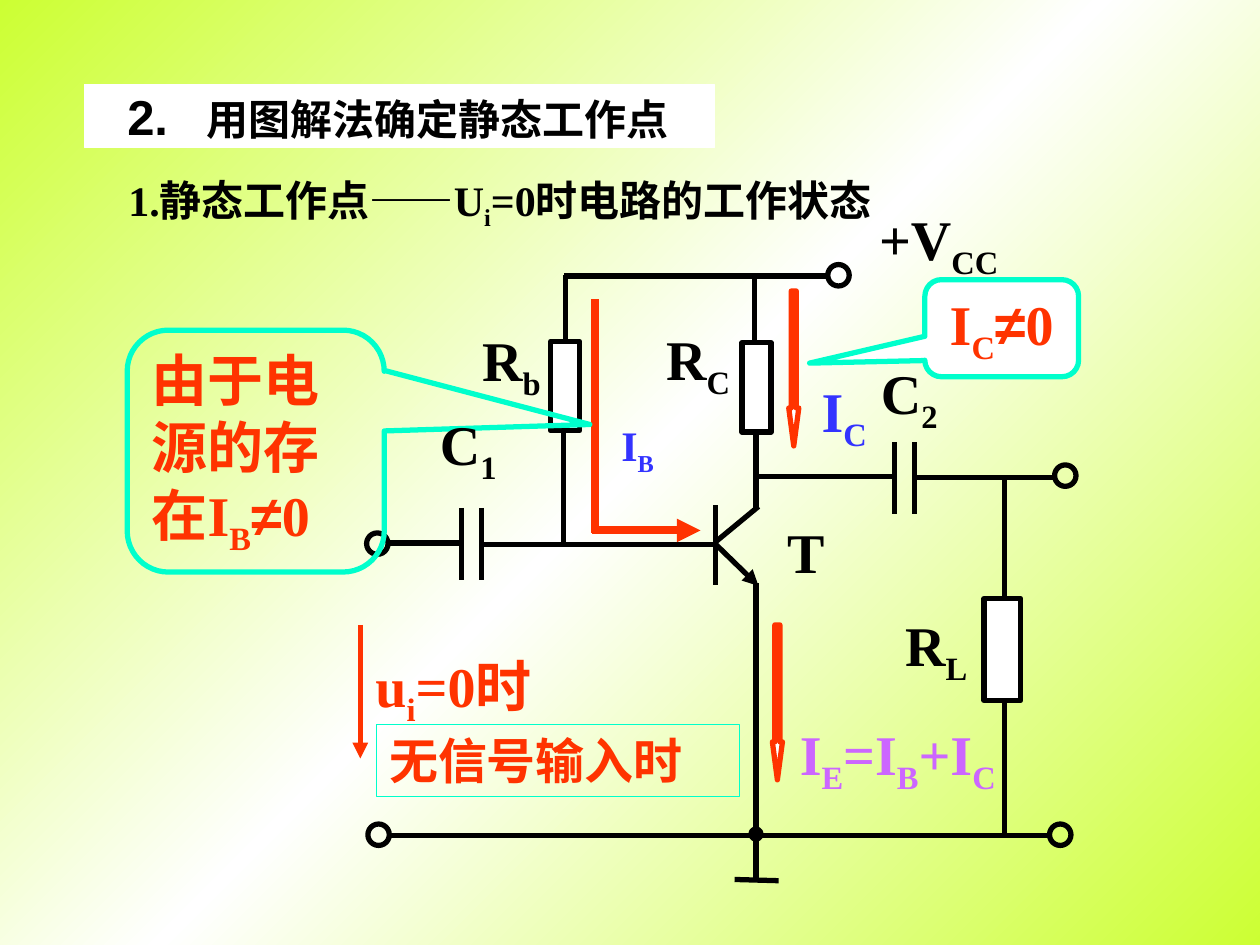
from copy import deepcopy

from pptx import Presentation
from pptx.dml.color import RGBColor
from pptx.enum.shapes import MSO_CONNECTOR as Connector, MSO_SHAPE as Shape
from pptx.enum.text import MSO_ANCHOR as Anchor, MSO_AUTO_SIZE as AutoSize, PP_ALIGN as Align
from pptx.oxml.ns import qn
from pptx.oxml.xmlchemy import OxmlElement
from pptx.util import Inches, Pt

BLACK, WHITE, RED, BLUE = "000000", "FFFFFF", "FF3300", "3333FF"
PURPLE, CYAN, LIME = "CC66FF", "00FFCC", "CCFF33"
hex_color = RGBColor.from_string

deck = Presentation()
deck.slide_width, deck.slide_height = Inches(10), Inches(7.5)
page = deck.slides.add_slide(deck.slide_layouts[5])
CELL = deck.slide_width / 100  # square grid: 100 columns by 75 rows


def write(box, text, size=32, color=BLACK, font="Times New Roman", align=Align.CENTER, wrap=False):
    """Append text to a box; letters in braces become subscripts."""
    frame = box.text_frame
    frame.auto_size = AutoSize.NONE
    frame.word_wrap = wrap
    frame.vertical_anchor = Anchor.MIDDLE
    para = frame.paragraphs[0]
    para.alignment = align
    pieces = text.replace("≠", "{≠}").replace("}", "{").split("{")
    for index, piece in enumerate(pieces):
        if not piece:
            continue
        span = para.add_run()
        span.text = piece
        span.font.size, span.font.bold = Pt(size), True
        span.font.name = "Arial" if piece == "≠" else font
        span.font.color.rgb = hex_color(color)
        if index % 2 and piece != "≠":
            span.font._element.set("baseline", "-25000")


def draw(kind, place, fill=None, line=BLACK, width=3, adjust=()):
    """Add a preset shape at (column, row, columns, rows)."""
    shape = page.shapes.add_shape(kind, *[int(value * CELL) for value in place])
    shape.shadow.inherit = False
    if fill:
        shape.fill.solid()
        shape.fill.fore_color.rgb = hex_color(fill)
    else:
        shape.fill.background()
    shape.line.color.rgb = hex_color(line)
    shape.line.width = Pt(width)
    for index, value in enumerate(adjust):
        shape.adjustments[index] = value
    return shape


# Background: diagonal lime-white-lime gradient
backdrop = page.background.fill
backdrop.gradient()
backdrop.gradient_angle = 315
stop_list = page.element.find(".//" + qn("a:gsLst"))
stop_list.append(deepcopy(stop_list[0]))
for stop, (position, color) in zip(backdrop.gradient_stops, [(0, LIME), (0.5, WHITE), (1, LIME)]):
    stop.color.rgb = hex_color(color)
    stop.position = position

# Title on a white band, with a tab after the number
title = page.shapes.title
title.left, title.top, title.width, title.height = [int(v * CELL) for v in (6.7, 6.7, 50, 5)]
title.fill.solid()
title.fill.fore_color.rgb = hex_color(WHITE)
title.line.color.rgb = hex_color(WHITE)
title.line.width = Pt(0.75)
title.text_frame.margin_left = int(3.4 * CELL)
write(title, "2.\t", size=28, font="Arial", align=Align.LEFT)
write(title, "用图解法确定静态工作点", size=24, font="Arial", align=Align.LEFT, wrap=True)
tab_list = OxmlElement("a:tabLst")
tab = OxmlElement("a:tab")
tab.set("pos", str(int(6.3 * CELL)))
tab.set("algn", "l")
tab_list.append(tab)
title.text_frame.paragraphs[0]._p.get_or_add_pPr().append(tab_list)

# Wires, capacitor plates and transistor: from, to, color, width, arrowhead
wires = [
    (44.8, 21.9, 65.6, 21.9),  # supply rail
    (44.9, 21.8, 44.9, 27.5), (44.7, 34.1, 44.7, 43.1),  # base resistor leads
    (59.9, 21.8, 59.9, 27.1), (60, 34, 60, 40.4),  # collector resistor leads
    (30.9, 43.1, 36.5, 43.1), (38.1, 43.2, 57, 43.2),  # input to base
    (56.8, 40.1, 56.8, 46.4), (56.8, 43, 60.2, 40.2),  # base bar and collector
    (60, 46.3, 60, 70), (58.3, 69.8, 61.8, 69.9),  # emitter to ground
    (31, 66.3, 83.4, 66.3),  # common rail
    (60, 37.8, 71, 37.8), (72.6, 37.9, 83.7, 37.9),  # collector to output
    (79.7, 38.1, 79.7, 66.3),  # load branch
]
wires += [(column, 40.3, column, 46) for column in (36.6, 38.2)]  # C1 plates
wires += [(column, 35.1, column, 40.8) for column in (71, 72.6)]  # C2 plates
lines = [(wire, BLACK, 3, False) for wire in wires]
lines += [
    ((56.8, 43.2, 60.2, 46.5), BLACK, 3, True),  # emitter
    ((28.6, 49.6, 28.6, 60.2), RED, 3, True),  # input voltage
    ((47, 42.1, 55.6, 42.1), RED, 4.5, True),  # base current
    ((47.2, 42.3, 47.2, 23.7), RED, 4.5, False),
]
for ends, color, width, arrow in lines:
    wire = page.shapes.add_connector(Connector.STRAIGHT, *[int(value * CELL) for value in ends])
    wire.line.color.rgb = hex_color(color)
    wire.line.width = Pt(width)
    if arrow:
        head = OxmlElement("a:tailEnd")
        head.set("type", "triangle")
        wire.line._get_or_add_ln().append(head)
    wire._element.spPr.append(OxmlElement("a:effectLst"))

# Resistors, terminals and the ground node
for place in [(43.7, 27.1, 2.3, 7.1), (58.9, 27.2, 2.3, 7.1), (78.1, 47.5, 2.9, 8.1)]:
    draw(Shape.RECTANGLE, place, fill=WHITE)
for column, row in [(65.7, 21), (29.1, 42.3), (29.2, 65.4), (83.7, 36.9), (83.3, 65.4)]:
    draw(Shape.OVAL, (column, row, 1.7, 1.7))
draw(Shape.OVAL, (59.6, 65.8, 0.8, 0.8), fill=BLACK)

# Collector and emitter current arrows
for column, row in [(62.6, 23.1), (61.3, 49.6)]:
    draw(Shape.DOWN_ARROW, (column, row, 0.8, 12.3), fill=WHITE, line=RED, adjust=(0.5, 3.77))

# Callouts and the framed note
cause = draw(Shape.ROUNDED_RECTANGULAR_CALLOUT, (10.1, 26.2, 20.4, 19.2), line=CYAN,
             adjust=(1.3, -0.11, 0.17))
write(cause, "由于电源的存在I{B}≠0", color=RED, align=Align.LEFT, wrap=True)
result = draw(Shape.ROUNDED_RECTANGULAR_CALLOUT, (73.4, 22.2, 12.2, 7.7), fill=WHITE, line=CYAN,
              adjust=(-1.25, 0.36, 0.17))
write(result, "I{C}≠0", color=RED)
note = draw(Shape.RECTANGLE, (29.9, 57.5, 28.8, 5.7), line=CYAN, width=0.75)
write(note, "无信号输入时", size=28, color=RED, align=Align.LEFT, wrap=True)

# Labels: text, place, format
labels = [
    ("1.静态工作点——U{i}=0时电路的工作状态", (9.2, 13.3, 75.5, 5.6),
     dict(size=24, align=Align.LEFT, wrap=True)),
    ("R{b}", (37.3, 25.3, 6.6, 7.1), {}),
    ("R{C}", (51.9, 25.2, 7, 7.1), {}),
    ("R{L}", (70.8, 47.9, 7, 7.1), {}),
    ("C{1}", (33.9, 32, 6.5, 7.1), {}),
    ("C{2}", (68.9, 27.9, 6.5, 7.1), {}),
    ("T", (61.5, 40.5, 4.9, 6.4), {}),
    ("+V{CC}", (68.8, 15.7, 11.4, 7.1), {}),
    ("u{i}=0时", (28.3, 51.2, 15.4, 7.1), dict(color=RED)),
    ("I{B}", (48, 32.8, 5.2, 5.6), dict(size=24, color=BLUE)),
    ("I{C}", (64.2, 29.4, 5.6, 7.1), dict(color=BLUE)),
    ("I{E}=I{B}+I{C}", (62.5, 56.6, 17.5, 7.1), dict(color=PURPLE)),
]
for text, place, style in labels:
    box = page.shapes.add_textbox(*[int(value * CELL) for value in place])
    write(box, text, **style)

deck.save("out.pptx")
